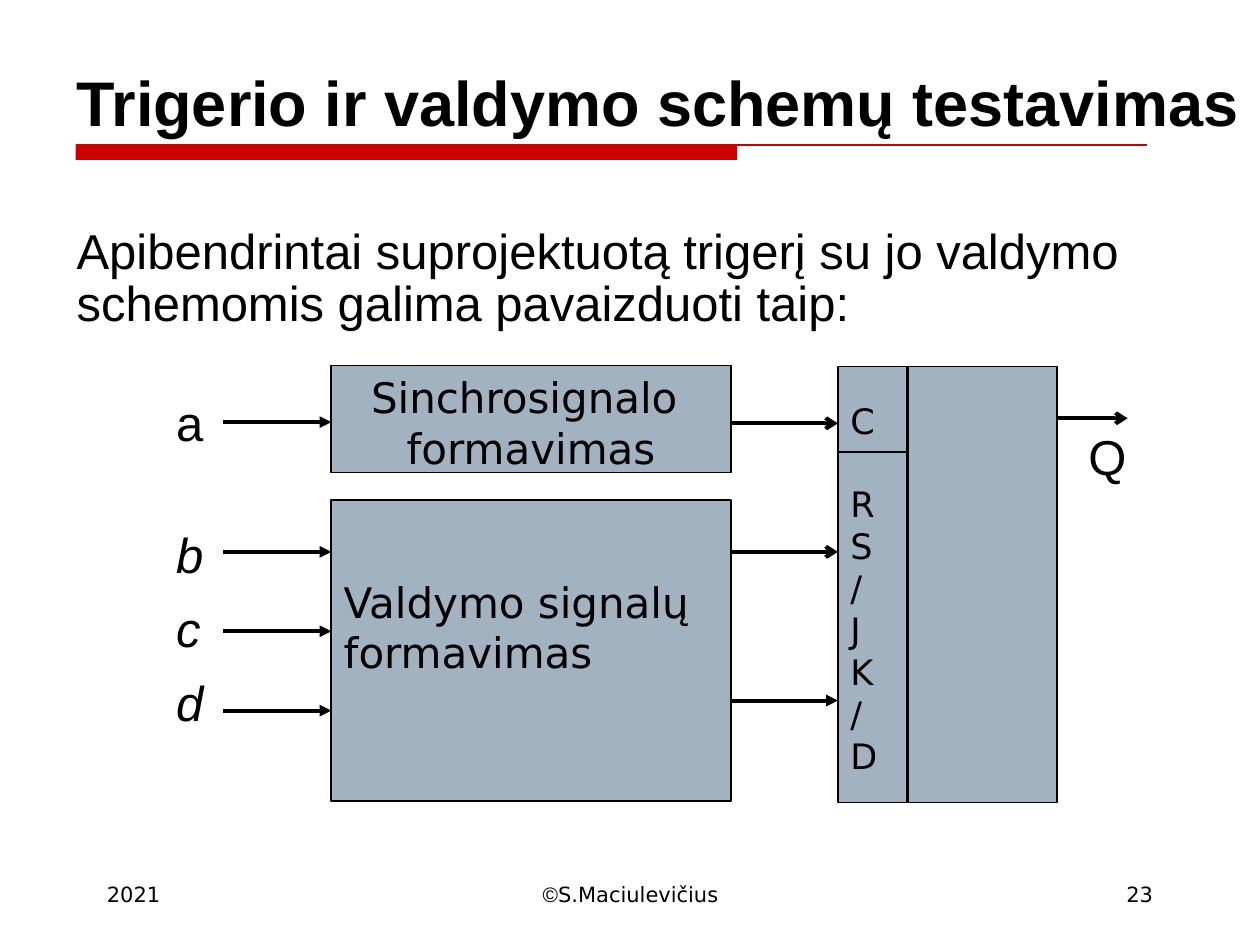
from lxml import etree
from pptx import Presentation, util as u
from pptx.dml.color import RGBColor
from pptx.enum import shapes, text
from pptx.oxml.ns import qn

COLORS = {"ink": "000000", "box": "A3B2C1", "red": "CC0000"}
SANS, WIDE = "Arial", "DejaVu Sans"
LEFT, MID, RIGHT = text.PP_ALIGN.LEFT, text.PP_ALIGN.CENTER, text.PP_ALIGN.RIGHT
TOP, CENTER, BASE = text.MSO_ANCHOR.TOP, text.MSO_ANCHOR.MIDDLE, text.MSO_ANCHOR.BOTTOM


def rgb(name):
    return RGBColor.from_string(COLORS[name])


def write(frame, lines, size, font=SANS, bold=None, align=LEFT, anchor=TOP,
          lead=None, gaps=(), slant=(), wrap=True, top=0.05, base=0.05):
    """Fill a frame; a line is a string or a list of (string, font) runs."""
    frame.word_wrap = wrap
    frame.vertical_anchor = anchor
    frame.margin_left = frame.margin_right = u.Inches(0.1)
    frame.margin_top, frame.margin_bottom = u.Inches(top), u.Inches(base)
    for i, line in enumerate(lines):
        para = frame.paragraphs[0] if i == 0 else frame.add_paragraph()
        para.alignment = align
        if lead:
            para.line_spacing = lead
        if i < len(gaps):
            para.space_before = u.Pt(gaps[i])
        for words, face in [(line, font)] if isinstance(line, str) else line:
            run = para.add_run()
            run.text = words
            run.font.name, run.font.size = face, u.Pt(size)
            run.font.bold = bold
            run.font.italic = True if i in slant else None
            run.font.color.rgb = rgb("ink")


class Deck:
    def __init__(self, wide, high):
        self.show = Presentation()
        self.show.slide_width, self.show.slide_height = u.Inches(wide), u.Inches(high)
        self.slide = self.show.slides.add_slide(self.show.slide_layouts[6])

    def label(self, x, y, w, h, lines, size, **form):
        area = self.slide.shapes.add_textbox(*map(u.Inches, (x, y, w, h)))
        write(area.text_frame, lines, size, **form)

    def box(self, x, y, w, h, lines=(), size=24, fill="box", edge="ink", **form):
        item = self.slide.shapes.add_shape(
            shapes.MSO_SHAPE.RECTANGLE, *map(u.Inches, (x, y, w, h)))
        item.shadow.inherit = False
        item.fill.solid()
        item.fill.fore_color.rgb = rgb(fill)
        if edge:
            item.line.color.rgb = rgb(edge)
            item.line.width = u.Pt(1)
        else:
            item.line.fill.background()
        if lines:
            write(item.text_frame, lines, size, font=WIDE, **form)

    def line(self, x, y, end, color="ink", width=1, head=None):
        item = self.slide.shapes.add_connector(
            shapes.MSO_CONNECTOR.STRAIGHT, *map(u.Inches, (x, y, end, y)))
        item.line.color.rgb = rgb(color)
        item.line.width = u.Pt(width)
        if head:
            etree.SubElement(item.line._get_or_add_ln(), qn("a:tailEnd"), type=head)
        etree.SubElement(item._element.spPr, qn("a:effectLst"))


def main():
    deck = Deck(10, 7.5)

    # Title and its rule
    deck.box(0.6, 1.15, 5.25, 0.12, fill="red", edge=None)
    deck.line(0.6, 1.15, 9.1, color="red", width=0.75)
    deck.label(0.51, 0.33, 9.49, 0.82, ["Trigerio ir valdymo schemų testavimas"],
               36, bold=True, anchor=BASE)

    # Lead text
    deck.label(0.51, 1.75, 9.22, 0.94,
               ["Apibendrintai suprojektuotą trigerį su jo valdymo "
                "schemomis galima pavaizduoti taip:"], 28, lead=0.9)

    # Blocks
    deck.box(7.21, 2.91, 1.18, 3.46)
    deck.box(2.63, 2.9, 3.17, 0.85, ["Sinchrosignalo ", "formavimas"],
             align=MID, wrap=False)
    deck.box(2.63, 3.97, 3.17, 2.39, ["Valdymo signalų", "formavimas"],
             anchor=CENTER, base=0.43)
    deck.box(6.65, 2.91, 0.55, 3.46, list("CRS/JK/D"), size=20,
             gaps=(0, 23.5), top=0.26)
    deck.line(6.65, 3.59, 7.21)

    # Signal arrows
    for x, end, y, head in [
        (1.77, 2.63, 3.35, "triangle"), (1.77, 2.63, 4.38, "triangle"),
        (1.77, 2.63, 5.01, "triangle"), (1.77, 2.63, 5.64, "triangle"),
        (5.8, 6.65, 5.56, "triangle"), (5.8, 6.65, 4.38, "arrow"),
        (5.8, 6.65, 3.36, "arrow"), (8.38, 8.95, 3.32, "arrow"),
    ]:
        deck.line(x, y, end, width=2.25, head=head)

    # Signal names
    deck.label(1.3, 3.12, 0.46, 2.8, list("abcd"), 28, lead=0.9,
               gaps=(0, 45, 12, 12), slant=(1, 2, 3))
    deck.label(8.54, 3.43, 0.55, 0.5, ["Q"], 28, lead=0.8)

    # Footer
    for x, w, line, align in [
        (0.75, 2.08, "2021", LEFT),
        (3.42, 3.17, [("©", SANS), ("S.Maciulevičius", WIDE)], MID),
        (7.17, 2.08, "23", RIGHT),
    ]:
        deck.label(x, 6.95, w, 0.5, [line], 12, font=WIDE, align=align)

    deck.show.save("out.pptx")


if __name__ == "__main__":
    main()
